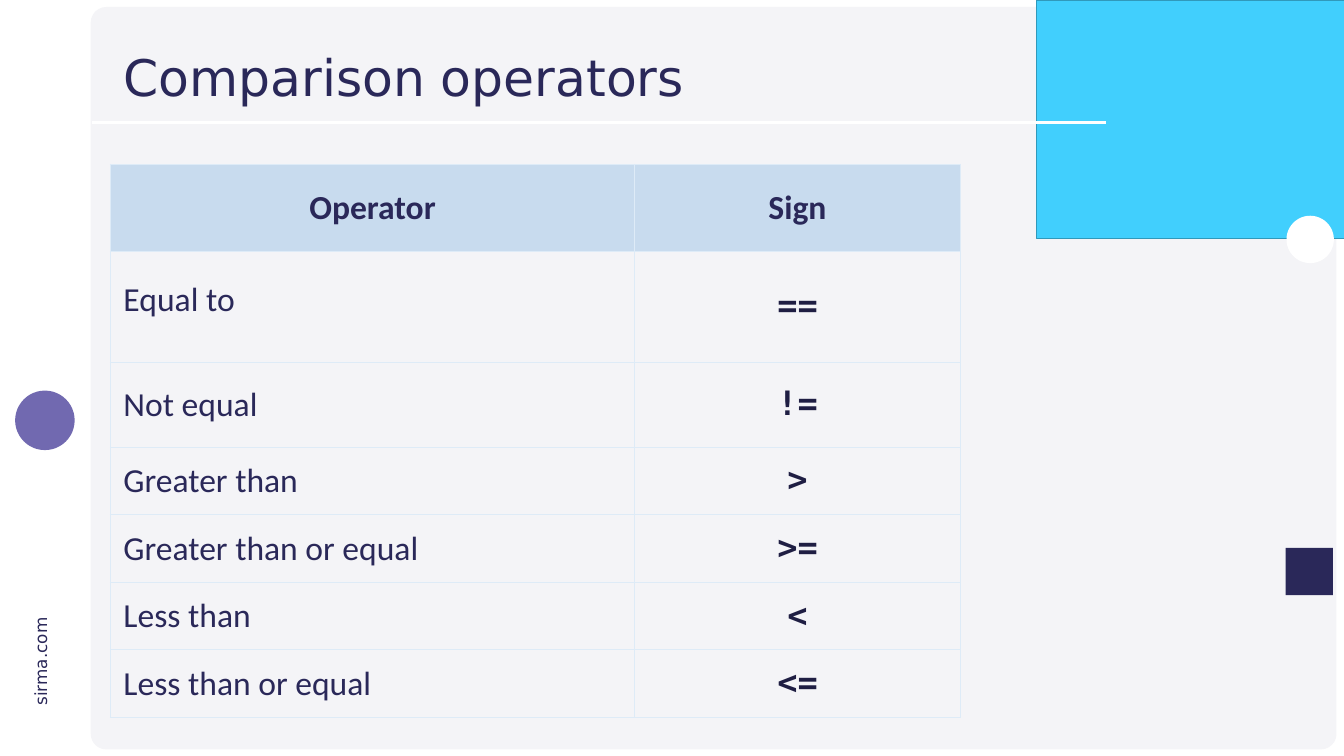
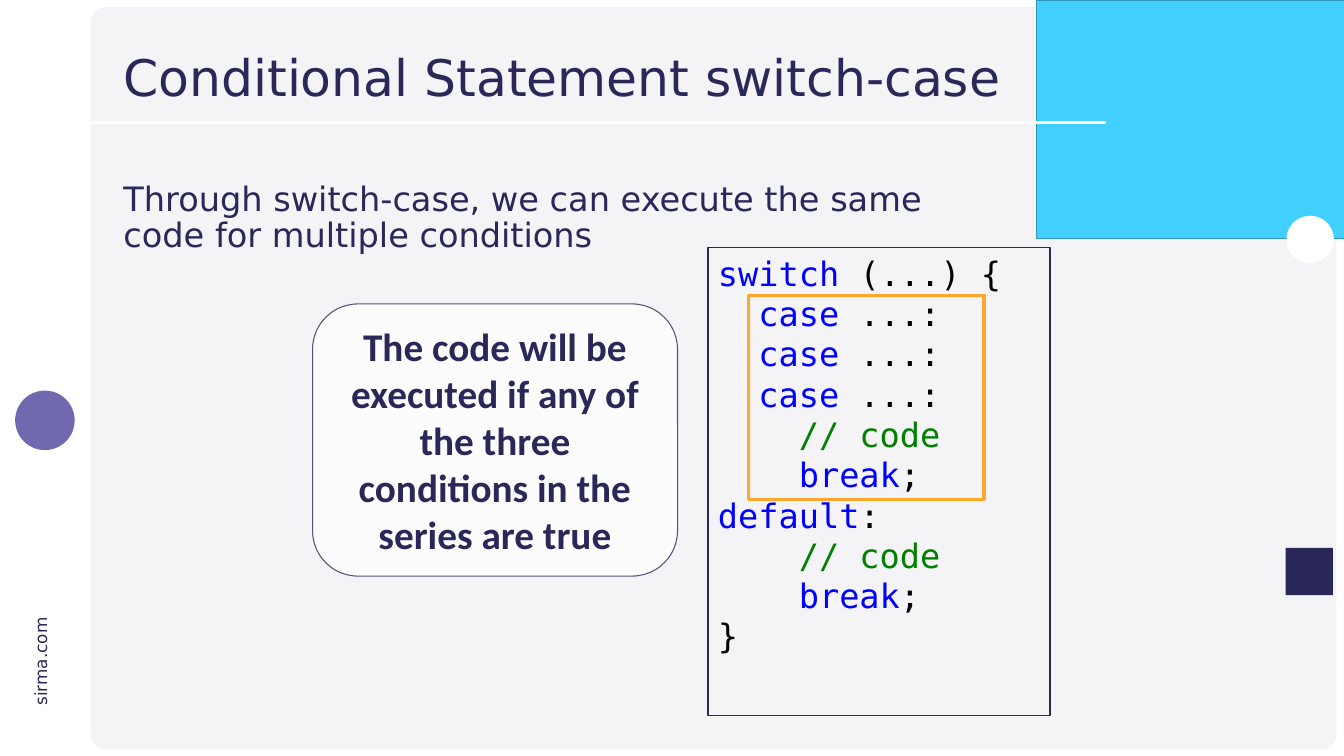
from lxml.etree import SubElement
from pptx import Presentation
from pptx.dml.color import RGBColor
from pptx.enum.shapes import MSO_CONNECTOR, MSO_SHAPE
from pptx.enum.text import MSO_ANCHOR, PP_ALIGN
from pptx.oxml.ns import qn
from pptx.util import Pt

WIDTH, HEIGHT = 1919.5, 1080
HUES = {
    "white": "FFFFFF", "panel": "F4F4F7", "navy": "2A2859", "sky": "41CFFD",
    "edge": "3099BB", "violet": "7169B0", "head": "9DC3E6", "grid": "DEEBF7",
    "sign": "1F1E43", "mark": "FFA72A", "key": "0000FF", "plain": "000000",
    "note": "008000",
}
SANS, MONO, BODY = "DejaVu Sans", "DejaVu Sans Mono", "Calibri"
SIGNS = [
    ("Operator", "Sign"), ("Equal to", "=="), ("Not equal", "!="),
    ("Greater than", ">"), ("Greater than or equal", ">="),
    ("Less than", "<"), ("Less than or equal", "<="),
]
CASE = [("  case", "key"), (" ...:", "plain")]
NOTE = [("    // code", "note")]
BREAK = [("    break", "key"), (";", "plain")]
CODE = [
    [("switch", "key"), (" (...) {", "plain")],
    CASE, CASE, CASE, NOTE, BREAK,
    [("default", "key"), (":", "plain")],
    NOTE, BREAK, [("}", "plain")],
]


def hue(name):
    """Return the named colour."""
    return RGBColor.from_string(HUES[name])


def fade(node, percent):
    """Set the opacity of every colour below an XML node."""
    for color in node.iter(qn("a:srgbClr")):
        SubElement(color, qn("a:alpha"), val=str(percent * 1000))


def style(para, face, size, color=None, bold=False):
    """Set the font of a paragraph."""
    font = para.font
    font.name, font.size, font.bold = face, Pt(size), bold
    if color:
        font.color.rgb = hue(color)


def shape(slide, kind, box, fill=None, line=None, weight=1):
    """Draw a preset shape in a box."""
    item = slide.shapes.add_shape(kind, *map(Pt, box))
    item.shadow.inherit = False
    if fill:
        item.fill.solid()
        item.fill.fore_color.rgb = hue(fill)
    else:
        item.fill.background()
    if line:
        item.line.color.rgb = hue(line)
        item.line.width = Pt(weight)
    else:
        item.line.fill.background()
    return item


def label(slide, box, text, size, anchor=MSO_ANCHOR.TOP, space=0.9, wrap=True):
    """Write one navy paragraph in a text box."""
    item = slide.shapes.add_textbox(*map(Pt, box))
    frame = item.text_frame
    frame.word_wrap, frame.vertical_anchor = wrap, anchor
    para = frame.paragraphs[0]
    para.text, para.line_spacing = text, space
    style(para, SANS, size, "navy")
    return item


def inset(frame):
    """Give a text frame its wide margins and wrapping."""
    frame.word_wrap = True
    frame.margin_left = frame.margin_right = Pt(14.4)
    frame.margin_top = frame.margin_bottom = Pt(7.2)


def base(deck, title):
    """Add a slide with the shared panel, decoration and title."""
    slide = deck.slides.add_slide(deck.slide_layouts[6])
    panel = shape(slide, MSO_SHAPE.ROUNDED_RECTANGLE,
                  (129.6, 10, 1779.2, 1060.6), "panel")
    panel.adjustments[0] = 0.021
    site = label(slide, (-13, 926, 141.8, 36), "sirma.com", 24, space=1, wrap=False)
    site.rotation = 270
    shape(slide, MSO_SHAPE.RECTANGLE, (1480.3, 0, WIDTH - 1480.3, 340.6), "sky", "edge")
    shape(slide, MSO_SHAPE.RECTANGLE, (131.8, 38.2, 1320.5, 171.4), "panel")
    rule = slide.shapes.add_connector(
        MSO_CONNECTOR.STRAIGHT, Pt(131.8), Pt(175), Pt(1579), Pt(175))
    rule.line.color.rgb, rule.line.width = hue("white"), Pt(3)
    SubElement(rule._element.spPr, qn("a:effectLst"))
    shape(slide, MSO_SHAPE.RECTANGLE, (1836, 782.6, 67.7, 67.7), "navy")
    shape(slide, MSO_SHAPE.OVAL, (21.6, 558, 85, 85), "violet")
    shape(slide, MSO_SHAPE.OVAL, (1837.4, 308.2, 67.7, 67.7), "white")
    label(slide, (169.2, 57.6, 1409, 113.8), title, 72, MSO_ANCHOR.MIDDLE)
    return slide


def border(cell, sides):
    """Draw the left, right, top and bottom lines of a cell."""
    props = cell._tc.get_or_add_tcPr()
    for spot, (side, width) in enumerate(zip("LRTB", sides)):
        line = SubElement(props, qn(f"a:ln{side}"), w=str(Pt(width)))
        fill = SubElement(line, qn("a:solidFill"))
        SubElement(fill, qn("a:srgbClr"), val=HUES["grid"])
        props.insert(spot, line)


def grid(slide, left, top, cols, rows):
    """Fill a table with the operators and their signs."""
    table = slide.shapes.add_table(
        len(rows), len(cols), Pt(left), Pt(top), Pt(sum(cols)), Pt(sum(rows))).table
    table.first_row = table.horz_banding = False
    for col, width in zip(table.columns, cols):
        col.width = Pt(width)
    for r, (row, height) in enumerate(zip(table.rows, rows)):
        row.height = Pt(height)
        for c, cell in enumerate(row.cells):
            cell.vertical_anchor = MSO_ANCHOR.MIDDLE
            cell.margin_left = cell.margin_right = Pt(18.7)
            cell.margin_top = cell.margin_bottom = Pt(5.8)
            para = cell.text_frame.paragraphs[0]
            para.text, para.line_spacing = SIGNS[r][c], 0.95
            if r == 0 or c == 1:
                para.alignment = PP_ALIGN.CENTER
            if r and c:
                style(para, MONO, 48, "sign", True)
            else:
                style(para, BODY, 48, "navy", r == 0)
            if r == 0:
                cell.fill.solid()
                cell.fill.fore_color.rgb = hue("head")
                fade(cell._tc.tcPr, 50)
            else:
                cell.fill.background()
            border(cell, (1 if c else 2.25, 2.25 if c else 1,
                          2.25 if r < 2 else 1, 1 if r else 2.25))
    first = table.cell(1, 0).text_frame.paragraphs[0]
    first.line_spacing, first.space_after = Pt(38), Pt(6)


def callout(slide, box, text):
    """Draw a rounded, see-through remark."""
    item = shape(slide, MSO_SHAPE.ROUNDED_RECTANGLE, box, "white", "navy", 1.5)
    fade(item._element.spPr, 80)
    frame = item.text_frame
    inset(frame)
    frame.vertical_anchor = MSO_ANCHOR.MIDDLE
    para = frame.paragraphs[0]
    para.text, para.alignment = text, PP_ALIGN.CENTER
    style(para, BODY, 56, "navy", True)


def listing(slide, box):
    """Draw the code box and the frame around its cases."""
    left, top, _, _ = box
    shape(slide, MSO_SHAPE.RECTANGLE, (left + 58.3, top + 68.4, 336.2, 291.6),
          line="mark", weight=4.5)
    frame = shape(slide, MSO_SHAPE.RECTANGLE, box, line="navy", weight=2.25).text_frame
    inset(frame)
    frame.vertical_anchor = MSO_ANCHOR.TOP
    for n, parts in enumerate(CODE):
        para = frame.add_paragraph() if n else frame.paragraphs[0]
        para.alignment = PP_ALIGN.LEFT
        style(para, MONO, 48)
        for text, color in parts:
            run = para.add_run()
            run.text = text
            run.font.color.rgb = hue(color)


def main():
    """Build both slides and save the deck."""
    deck = Presentation()
    deck.slide_width, deck.slide_height = Pt(WIDTH), Pt(HEIGHT)
    slide = base(deck, "Comparison operators")
    grid(slide, 157.7, 234.7, (748.8, 465.1), (124.6, 157.7, 121.7) + (96.5,) * 4)
    slide = base(deck, "Conditional Statement switch-case")
    label(slide, (169.2, 257, 1655.3, 743),
          "Through switch-case, we can execute the same \vcode for multiple conditions", 48)
    callout(slide, (446.4, 434.2, 521.3, 388.8),
            "The code will be executed if any of the three conditions in the series are true")
    listing(slide, (1010.9, 353.5, 488.9, 668.9))
    deck.save("out.pptx")


if __name__ == "__main__":
    main()
